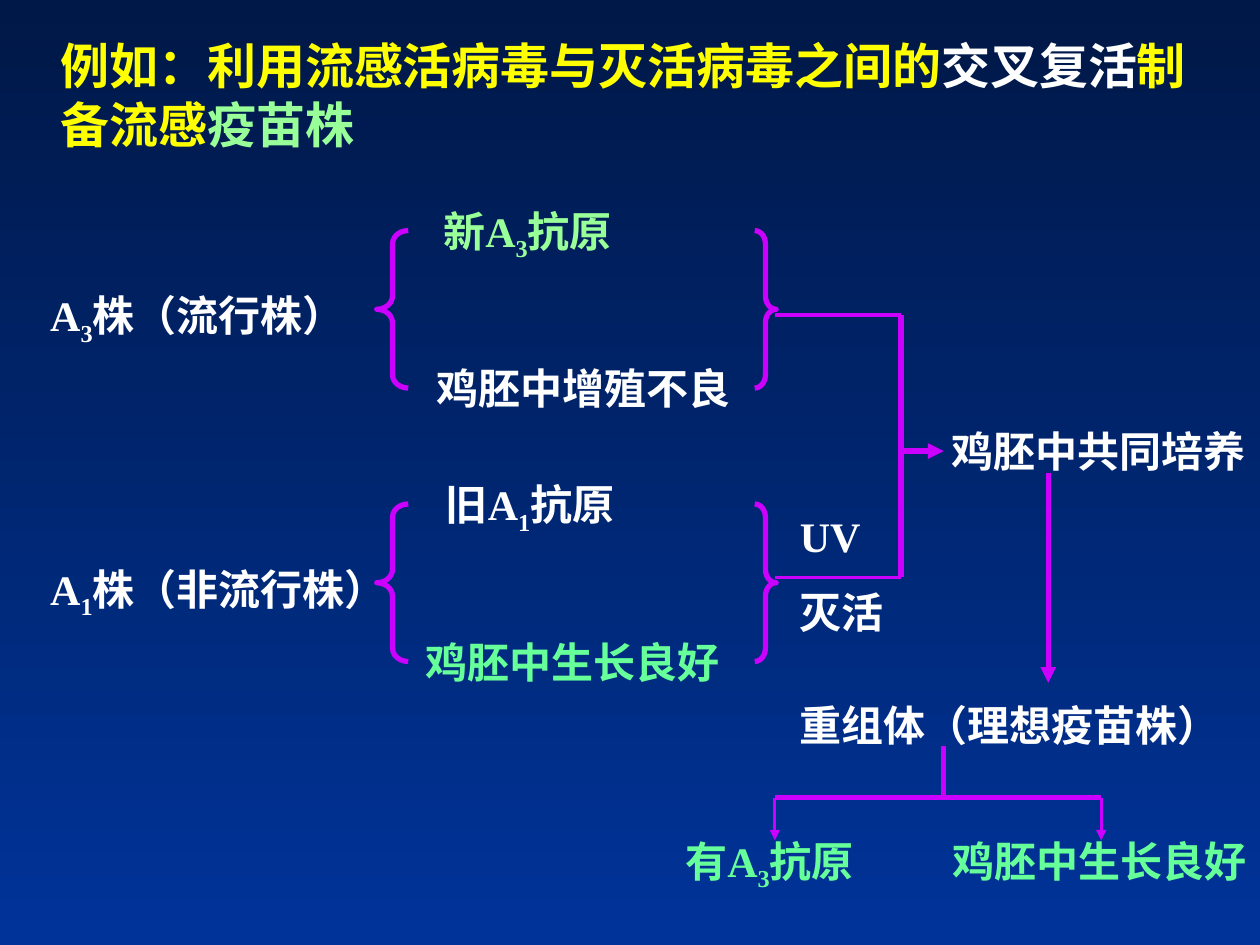
from lxml import etree
from pptx import Presentation
from pptx import util as u
from pptx.dml.color import RGBColor
from pptx.enum import shapes, text
from pptx.oxml.ns import qn

YELLOW = RGBColor(0xFF, 0xFF, 0x00)
WHITE = RGBColor(0xFF, 0xFF, 0xFF)
PALE_GREEN = RGBColor(0x99, 0xFF, 0x99)
GREEN = RGBColor(0x66, 0xFF, 0x99)
PURPLE = RGBColor(0xCC, 0x00, 0xFF)
NAVY = RGBColor(0x00, 0x18, 0x47)
BLUE = RGBColor(0x00, 0x33, 0x99)
FONT = "Times New Roman"
THIN, THICK = 1.75, 3
LINE_HEIGHT, SUB_HEIGHT = 0.5, 0.56  # label heights, plain and with a subscript


def add_span(para, words, colour, size=24, subscript=False):
    span = para.add_run()
    span.text = words
    span.font.name, span.font.size, span.font.bold = FONT, u.Pt(size), True
    span.font.color.rgb = colour
    if subscript:
        span._r.get_or_add_rPr().set("baseline", "-25000")


def add_label(page, left, top, width, parts, colour=WHITE):
    """One line of text; every second part is a subscript."""
    height = SUB_HEIGHT if len(parts) > 1 else LINE_HEIGHT
    box = page.shapes.add_textbox(*map(u.Inches, (left, top, width, height)))
    frame = box.text_frame
    frame.word_wrap = True
    frame.auto_size = text.MSO_AUTO_SIZE.NONE
    frame.margin_right = 0  # spare room keeps the label on one line
    for index, words in enumerate(parts):
        add_span(frame.paragraphs[0], words, colour, subscript=index % 2 == 1)


def add_line(page, x1, y1, x2, y2, weight=THICK, arrow=False):
    line = page.shapes.add_connector(
        shapes.MSO_CONNECTOR.STRAIGHT, *map(u.Inches, (x1, y1, x2, y2)))
    line.line.color.rgb = PURPLE
    line.line.width = u.Pt(weight)
    if arrow:
        etree.SubElement(line.line._get_or_add_ln(), qn("a:tailEnd"), type="triangle")
    etree.SubElement(line._element.spPr, qn("a:effectLst"))


def add_brace(page, kind, left, top, width, curl):
    brace = page.shapes.add_shape(kind, *map(u.Inches, (left, top, width, 1.25)))
    brace.adjustments[0] = curl
    brace.fill.background()
    brace.line.color.rgb = PURPLE
    brace.line.width = u.Pt(THICK)
    brace.shadow.inherit = False


def add_title(page, left, top, width, height):
    title = page.shapes.title
    title.left, title.top, title.width, title.height = map(
        u.Inches, (left, top, width, height))
    frame = title.text_frame
    frame.word_wrap = True
    frame.auto_size = text.MSO_AUTO_SIZE.NONE
    frame.vertical_anchor = text.MSO_ANCHOR.TOP
    para = frame.paragraphs[0]
    para.alignment = text.PP_ALIGN.LEFT
    for words, colour in (("例如：利用流感活病毒与灭活病毒之间的", YELLOW), ("交叉复活", WHITE),
                          ("制备流感", YELLOW), ("疫苗株", PALE_GREEN)):
        add_span(para, words, colour, size=28)


def add_strain(page, left, top, name, name_width, antigen, growth):
    """A strain, its two traits and the braces around them."""
    add_label(page, left, top + 0.67, name_width, name)
    for (parts, colour, shift, width), row in ((antigen, 0), (growth, 1.25)):
        add_label(page, left + shift, top + row, width, parts, colour)
    add_brace(page, shapes.MSO_SHAPE.LEFT_BRACE, left + 2.69, top + 0.25, 0.25, 0.42)
    add_brace(page, shapes.MSO_SHAPE.RIGHT_BRACE, left + 5.69, top + 0.25, 0.17, 0.62)


def add_crossing(page, left, top):
    """Both strains join; the inactivated one passes through UV."""
    bottom, right, middle = top + 2.08, left + 1, top + 1.08
    for y in (top, bottom):
        add_line(page, left, y, right, y, THIN)
    add_line(page, right, top, right, bottom)
    add_line(page, right, middle, right + 0.34, middle, arrow=True)
    add_label(page, left + 1.3, top + 0.83, 2.53, ["鸡胚中共同培养"])

    box = page.shapes.add_textbox(*map(u.Inches, (left + 0.1, top + 1.5, 1.08, 1.11)))
    frame = box.text_frame
    frame.word_wrap = True
    add_span(frame.paragraphs[0], "UV", WHITE)
    para = frame.add_paragraph()
    para.space_before = u.Pt(15)
    add_span(para, "灭活", WHITE)


def add_outcome(page, left, top):
    """The recombinant and the two traits it inherits."""
    right, fork = left + 2.59, top + 2.58
    add_line(page, left + 2.17, top, left + 2.17, top + 1.67, arrow=True)
    add_label(page, left + 0.1, top + 1.75, 3.53, ["重组体（理想疫苗株）"])
    add_line(page, left + 1.34, fork, left + 1.34, fork - 0.41)
    add_line(page, left, fork, right, fork)
    for x in (left, right):
        add_line(page, x, fork, x, fork + 0.34, THIN, arrow=True)
    add_label(page, left - 0.81, fork + 0.25, 1.69, ["有A", "3", "抗原"], GREEN)
    add_label(page, left + 1.31, fork + 0.25, 2.53, ["鸡胚中生长良好"], GREEN)


def main():
    deck = Presentation()
    deck.slide_width, deck.slide_height = u.Inches(10), u.Inches(7.5)
    page = deck.slides.add_slide(deck.slide_layouts.get_by_name("Title Only"))

    # Background
    fill = page.background.fill
    fill.gradient()
    fill.gradient_angle = 270
    for stop, colour, position in zip(fill.gradient_stops, (NAVY, BLUE), (0, 1)):
        stop.color.rgb = colour
        stop.position = position

    add_title(page, 0.38, 0.23, 9.29, 1.04)

    # Parent strains
    add_strain(page, 0.3, 1.58, ["A", "3", "株（流行株）"], 2.61,
               (["新A", "3", "抗原"], PALE_GREEN, 3.12, 1.69),
               (["鸡胚中增殖不良"], WHITE, 3.07, 2.53))
    add_strain(page, 0.3, 3.75, ["A", "1", "株（非流行株）"], 2.95,
               (["旧A", "1", "抗原"], WHITE, 3.14, 1.69),
               (["鸡胚中生长良好"], GREEN, 2.98, 2.53))

    # Joint culture and result
    add_crossing(page, 6.15, 2.5)
    add_outcome(page, 6.15, 3.75)
    deck.save("out.pptx")


if __name__ == "__main__":
    main()
